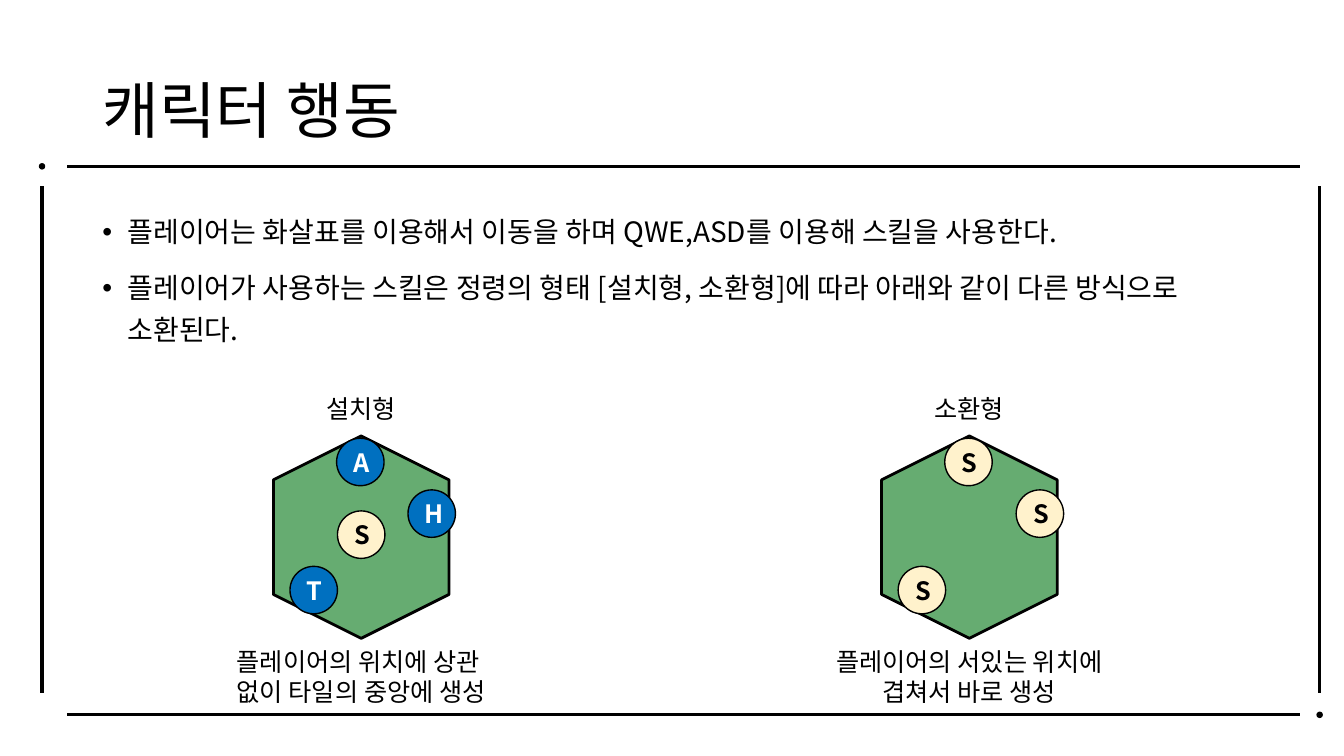
from dataclasses import dataclass

from lxml import etree
from pptx import Presentation
from pptx import util as u
from pptx.dml.color import RGBColor
from pptx.enum import shapes, text
from pptx.oxml import ns


@dataclass(frozen=True)
class Theme:
    font: str = "Noto Sans CJK KR"
    ink: str = "000000"
    paper: str = "FFFFFF"
    tile: str = "66AC71"
    spirit: str = "0070C0"
    player: str = "FFF2CC"
    title_size: int = 44
    body_size: int = 20
    label_size: int = 18


class SlideBuilder:
    """Draws on one slide, measuring in a grid of 32 columns by 18 rows."""

    COLUMNS, ROWS = 32, 18

    def __init__(self, presentation, theme):
        self.theme = theme
        self.column = presentation.slide_width / self.COLUMNS
        self.row = presentation.slide_height / self.ROWS
        self.slide = presentation.slides.add_slide(presentation.slide_layouts[5])

    def box(self, left, top, width, height):
        return (u.Emu(round(left * self.column)), u.Emu(round(top * self.row)),
                u.Emu(round(width * self.column)), u.Emu(round(height * self.row)))

    def centred(self, x, y, width, height):
        return self.box(x - width / 2, y - height / 2, width, height)

    def set_text(self, shape, content, size, color, align, bold=False):
        frame = shape.text_frame
        frame.text = content
        for paragraph in frame.paragraphs:
            paragraph.alignment = align
            for run in paragraph.runs:
                font = run.font
                font.name, font.size, font.bold = self.theme.font, u.Pt(size), bold
                font.color.rgb = RGBColor.from_string(color)
                east_asian = etree.SubElement(run._r.get_or_add_rPr(), ns.qn("a:ea"))
                east_asian.set("typeface", self.theme.font)
        return frame

    def title(self, content, *box):
        shape = self.slide.shapes.title
        shape.left, shape.top, shape.width, shape.height = self.box(*box)
        frame = self.set_text(shape, content, self.theme.title_size, self.theme.ink,
                              text.PP_ALIGN.LEFT)
        frame.auto_size = text.MSO_AUTO_SIZE.NONE
        frame.vertical_anchor = text.MSO_ANCHOR.MIDDLE
        frame.paragraphs[0].line_spacing = 0.9

    def bullets(self, items, *box):
        shape = self.slide.shapes.add_textbox(*self.box(*box))
        frame = self.set_text(shape, "\n".join(items), self.theme.body_size,
                              self.theme.ink, text.PP_ALIGN.LEFT)
        frame.word_wrap = True
        indent = u.Inches(0.25)
        for paragraph in frame.paragraphs:
            paragraph.line_spacing, paragraph.space_before = 1.25, u.Pt(10)
            properties = paragraph._p.get_or_add_pPr()
            properties.set("marL", str(indent))
            properties.set("indent", str(-indent))
            etree.SubElement(properties, ns.qn("a:buFont")).set("typeface", "Arial")
            etree.SubElement(properties, ns.qn("a:buChar")).set("char", "•")

    def label(self, content, x, y, width, height):
        shape = self.slide.shapes.add_textbox(*self.centred(x, y, width, height))
        frame = self.set_text(shape, content, self.theme.label_size, self.theme.ink,
                              text.PP_ALIGN.CENTER)
        frame.word_wrap = False
        frame.auto_size = text.MSO_AUTO_SIZE.SHAPE_TO_FIT_TEXT

    def shape(self, kind, x, y, width, height, fill, line_width, parent=None):
        """Add a preset shape around its centre, to the slide or to a group."""
        shape = (parent or self.slide).shapes.add_shape(
            kind, *self.centred(x, y, width, height))
        shape.shadow.inherit = False
        shape.fill.solid()
        shape.fill.fore_color.rgb = RGBColor.from_string(fill)
        shape.line.color.rgb = RGBColor.from_string(self.theme.ink)
        shape.line.width = u.Pt(line_width)
        return shape

    def frame(self, left, top, right, bottom):
        """Add four rules that stop short of the corners, and two corner dots."""
        group = self.slide.shapes.add_group_shape()
        start, end = left + 0.6, right - 0.46
        upper, lower = top + 0.48, bottom - 0.53
        rules = [(start, y, end, y) for y in (top, bottom)]
        rules += [(x, upper, x, lower) for x in (left, right)]
        for ends in rules:
            rule = group.shapes.add_connector(shapes.MSO_CONNECTOR.STRAIGHT,
                                              *self.box(*ends))
            rule.line.color.rgb = RGBColor.from_string(self.theme.ink)
            rule.line.width = u.Pt(2.25)
            etree.SubElement(rule._element.spPr, ns.qn("a:effectLst"))
        for x, y in ((right, bottom), (left, top)):
            self.shape(shapes.MSO_SHAPE.OVAL, x, y, 0.12, 0.12, self.theme.ink, 1, group)

    def token(self, letter, x, y):
        is_player = letter == "S"
        fill = self.theme.player if is_player else self.theme.spirit
        color = self.theme.ink if is_player else self.theme.paper
        shape = self.shape(shapes.MSO_SHAPE.OVAL, x, y, 1.13, 1.13, fill, 1)
        frame = self.set_text(shape, letter, self.theme.label_size, color,
                              text.PP_ALIGN.CENTER, bold=True)
        frame.vertical_anchor = text.MSO_ANCHOR.MIDDLE

    def tile(self, x, heading, caption, tokens):
        """Add a hexagonal tile with tokens, its heading and its caption."""
        y = 12.79
        hexagon = self.shape(shapes.MSO_SHAPE.HEXAGON, x, y, 4.82, 4.18,
                             self.theme.tile, 2)
        hexagon.adjustments[0] = 0.25
        hexagon.rotation = 90
        for letter, (across, down) in tokens:
            self.token(letter, x + across, y + down)
        self.label(caption, x, 16.12, 7.4, 1.7)
        self.label(heading, x, 9.72, 2.3, 0.96)


def main():
    presentation = Presentation()
    presentation.slide_width = u.Inches(13.33)
    presentation.slide_height = u.Inches(7.5)
    builder = SlideBuilder(presentation, Theme())

    builder.title("캐릭터 행동", 2.2, 0.96, 27.6, 3.48)
    builder.bullets([
        "플레이어는 화살표를 이용해서 이동을 하며 QWE,ASD를 이용해 스킬을 사용한다.",
        "플레이어가 사용하는 스킬은 정령의 형태 [설치형, 소환형]에 따라 "
        "아래와 같이 다른 방식으로 소환된다.",
    ], 2.2, 4.8, 27.6, 11.42)
    builder.frame(1, 3.96, 31.42, 17.02)

    lower_left, centre = (-1.13, 1.26), (0, -0.06)
    top, right = (-0.02, -1.79), (1.68, -0.56)
    builder.tile(8.6, "설치형", "플레이어의 위치에 상관 \n없이 타일의 중앙에 생성",
                 [("T", lower_left), ("S", centre), ("A", top), ("H", right)])
    builder.tile(23.08, "소환형", "플레이어의 서있는 위치에\n겹쳐서 바로 생성",
                 [("S", lower_left), ("S", top), ("S", right)])
    presentation.save("out.pptx")


if __name__ == "__main__":
    main()
